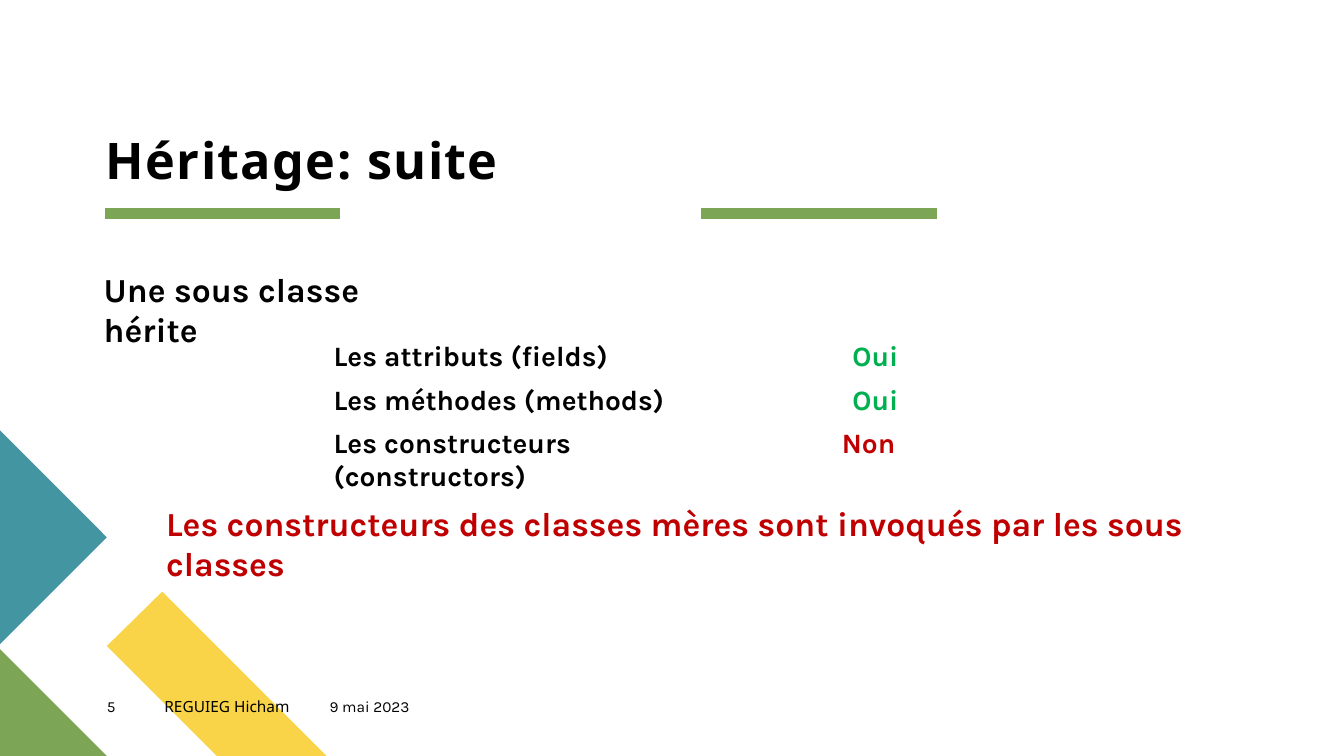
from pptx import Presentation
from pptx.dml.color import RGBColor
from pptx.enum import shapes, text
from pptx.oxml.ns import qn
from pptx.util import Pt
from lxml import etree

THEME = dict(
    black="000000", green="7CA655", teal="4495A2", yellow="F9D448",
    yes="00B050", no="C00000",
    body="Karla", heading="Noto Sans",
    title=36, lead=24, cell=20, footer=11,
)


def write(tf, content, size, color="black", font="body", bold=True, align=None, spacing=None):
    p = tf.paragraphs[0]
    p.alignment = align
    r = p.add_run()
    r.text = content
    r.font.size = Pt(THEME[size])
    r.font.name = THEME[font]
    r.font.bold = bold
    r.font.color.rgb = RGBColor.from_string(THEME[color])
    if spacing:
        r._r.get_or_add_rPr().set("spc", str(spacing * 100))
    return p


def text_box(s, left, top, width, height, inset=True):
    tf = s.shapes.add_textbox(Pt(left), Pt(top), Pt(width), Pt(height)).text_frame
    tf.word_wrap = True
    if not inset:
        tf.margin_left = tf.margin_top = tf.margin_right = tf.margin_bottom = 0
    return tf


prs = Presentation()
prs.slide_width, prs.slide_height = Pt(960), Pt(540)
s = prs.slides.add_slide(prs.slide_layouts[6])

corner_shapes = [
    ("yellow", [(233.3, 540), (154.8, 540), (76.3, 461.5), (115.9, 422.6)]),
    ("green", [(76.3, 540), (0, 540), (0, 463.7)]),
    ("teal", [(0, 307.4), (76.3, 383.8), (0, 460.1)]),
]
for color, points in corner_shapes:
    start, *rest = [(Pt(x), Pt(y)) for x, y in points]
    builder = s.shapes.build_freeform(*start)
    builder.add_line_segments(rest, close=True)
    sp = builder.convert_to_shape()
    sp.shadow.inherit = False
    sp.fill.solid()
    sp.fill.fore_color.rgb = RGBColor.from_string(THEME[color])
    sp.line.fill.background()

for left in (75, 501):
    rule = s.shapes.add_connector(
        shapes.MSO_CONNECTOR.STRAIGHT, Pt(left), Pt(152.8), Pt(left + 168), Pt(152.8))
    rule.line.width = Pt(8)
    rule.line.color.rgb = RGBColor.from_string(THEME["green"])
    etree.SubElement(rule._element.spPr, qn("a:effectLst"))

tf = text_box(s, 75.6, 21.6, 429, 113.8, inset=False)
tf.vertical_anchor = text.MSO_ANCHOR.BOTTOM
p = write(tf, "Héritage: suite", "title", font="heading", spacing=1)
p.line_spacing = 1.15
p.space_after = Pt(10)

footer = [
    (76.3, 41, "5", "body"),
    (117.4, 118, "REGUIEG Hicham", "heading"),
    (235.4, 104, "9 mai 2023", "body"),
]
for left, width, content, font in footer:
    tf = text_box(s, left, 498.2, width, 19.4, inset=False)
    write(tf, content, "footer", font=font, bold=False)

write(text_box(s, 67, 188.6, 251.3, 36), "Une sous classe hérite", "lead")

rows = [
    ("Les attributs (fields)", "Oui", "yes"),
    ("Les méthodes (methods)", "Oui", "yes"),
    ("Les constructeurs (constructors)", "Non", "no"),
]
table = s.shapes.add_table(len(rows), 2, Pt(231.1), Pt(239.8), Pt(468), Pt(88.5)).table
table.first_row = table.horz_banding = False
table.columns[0].width, table.columns[1].width = Pt(320.4), Pt(147.6)
for i, (member, answer, color) in enumerate(rows):
    label, verdict = table.cell(i, 0), table.cell(i, 1)
    for cell in (label, verdict):
        cell.fill.background()
    write(label.text_frame, member, "cell")
    write(verdict.text_frame, answer, "cell", color=color, align=text.PP_ALIGN.CENTER)
    if color == "no":
        verdict.margin_right = Pt(17)

tf = text_box(s, 111.6, 355.7, 751.7, 36)
write(tf, "Les constructeurs des classes mères sont invoqués par les sous classes", "lead", color="no")

prs.save("out.pptx")
